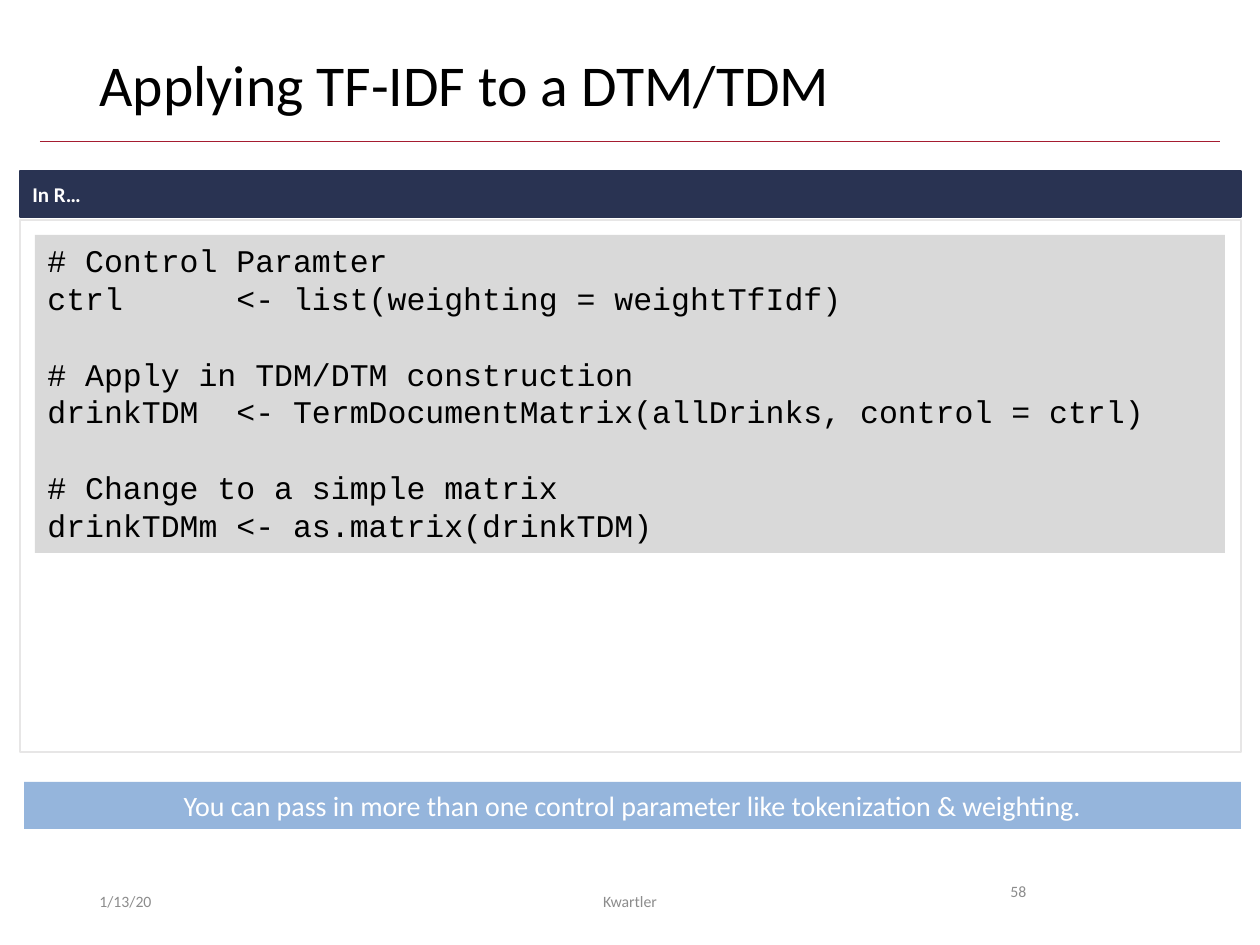
from pptx import Presentation
from pptx.dml.color import RGBColor
from pptx.enum.shapes import MSO_CONNECTOR, MSO_SHAPE
from pptx.enum.text import MSO_ANCHOR, PP_ALIGN
from pptx.oxml.ns import qn
from pptx.util import Emu, Pt
from lxml import etree

PX = 914400 // 126
RECT, STRAIGHT = MSO_SHAPE.RECTANGLE, MSO_CONNECTOR.STRAIGHT
TOP, MIDDLE = MSO_ANCHOR.TOP, MSO_ANCHOR.MIDDLE
LEFT, CENTER = PP_ALIGN.LEFT, PP_ALIGN.CENTER

BLACK = RGBColor(0x00, 0x00, 0x00)
WHITE = RGBColor(0xFF, 0xFF, 0xFF)
CRIMSON = RGBColor(0xA5, 0x1C, 0x30)
NAVY = RGBColor(0x29, 0x33, 0x52)
SKY = RGBColor(0x95, 0xB5, 0xDC)
CODE_GREY = RGBColor(0xD9, 0xD9, 0xD9)
BORDER_GREY = RGBColor(0xE7, 0xE6, 0xE6)
FOOTER_GREY = RGBColor(0x8C, 0x8C, 0x8C)

CODE_PITCH = Pt(21.6)
CODE_BLOCKS = [
    ["# Control Paramter",
     "ctrl      <- list(weighting = weightTfIdf)"],
    ["# Apply in TDM/DTM construction",
     "drinkTDM  <- TermDocumentMatrix(allDrinks, control = ctrl)"],
    ["# Change to a simple matrix",
     "drinkTDMm <- as.matrix(drinkTDM)"],
]


def px(*values):
    return [Emu(v * PX) for v in values]


def write(p, text, size, color, font="Calibri", bold=False, align=LEFT):
    p.alignment = align
    r = p.add_run()
    r.text = text
    r.font.name = font
    r.font.size = Pt(size)
    r.font.bold = bold
    r.font.color.rgb = color


def set_title(s, text):
    title = s.shapes.title
    title.left, title.top, title.width, title.height = px(87, 50, 1086, 82)
    tf = title.text_frame
    tf.vertical_anchor = TOP
    p = tf.paragraphs[0]
    p.line_spacing = 0.9
    write(p, text, 33, BLACK)


def add_rule(s, x1, x2, y):
    line = s.shapes.add_connector(STRAIGHT, *px(x1, y, x2, y))
    line.line.color.rgb = CRIMSON
    line.line.width = Pt(0.5)
    etree.SubElement(line._element.spPr, qn("a:effectLst"))


def add_box(s, box, fill, border=None, anchor=TOP):
    """Add a flat rectangle and return its text frame."""
    sp = s.shapes.add_shape(RECT, *px(*box))
    sp.shadow.inherit = False
    sp.fill.solid()
    sp.fill.fore_color.rgb = fill
    if border is None:
        sp.line.fill.background()
    else:
        sp.line.color.rgb = border
        sp.line.width = Pt(0.75)
    tf = sp.text_frame
    tf.word_wrap = True
    tf.vertical_anchor = anchor
    return tf


def add_code(tf, blocks):
    """Write code lines, leaving one line's height between blocks."""
    p = tf.paragraphs[0]
    for b, block in enumerate(blocks):
        for i, text in enumerate(block):
            if b or i:
                p = tf.add_paragraph()
            p.line_spacing = CODE_PITCH
            if b and i == 0:
                p.space_before = CODE_PITCH
            write(p, text, 18, BLACK, "Courier New")


def add_footer(s, box, text, anchor=MIDDLE, align=LEFT):
    tf = s.shapes.add_textbox(*px(*box)).text_frame
    tf.word_wrap = True
    tf.vertical_anchor = anchor
    write(tf.paragraphs[0], text, 9, FOOTER_GREY, align=align)


def main():
    prs = Presentation()
    prs.slide_width, prs.slide_height = px(1260, 945)
    s = prs.slides.add_slide(prs.slide_layouts[5])

    add_rule(s, 40, 1220, 141)
    set_title(s, "Applying TF-IDF to a DTM/TDM")

    add_box(s, (20, 220, 1221, 532), WHITE, BORDER_GREY)
    header = add_box(s, (20, 171, 1221, 46), NAVY, NAVY, MIDDLE)
    write(header.paragraphs[0], "In R…", 12, WHITE, bold=True)
    add_code(add_box(s, (35, 235, 1190, 318), CODE_GREY), CODE_BLOCKS)

    note = add_box(s, (24, 782, 1217, 47), SKY)
    write(note.paragraphs[0],
          "You can pass in more than one control parameter like tokenization & weighting.",
          16, WHITE, align=CENTER)

    add_footer(s, (87, 876, 284, 50), "1/13/20")
    add_footer(s, (417, 876, 426, 50), "Kwartler", align=CENTER)
    add_footer(s, (998, 876, 118, 50), "58", anchor=TOP)
    prs.save("out.pptx")


if __name__ == "__main__":
    main()
